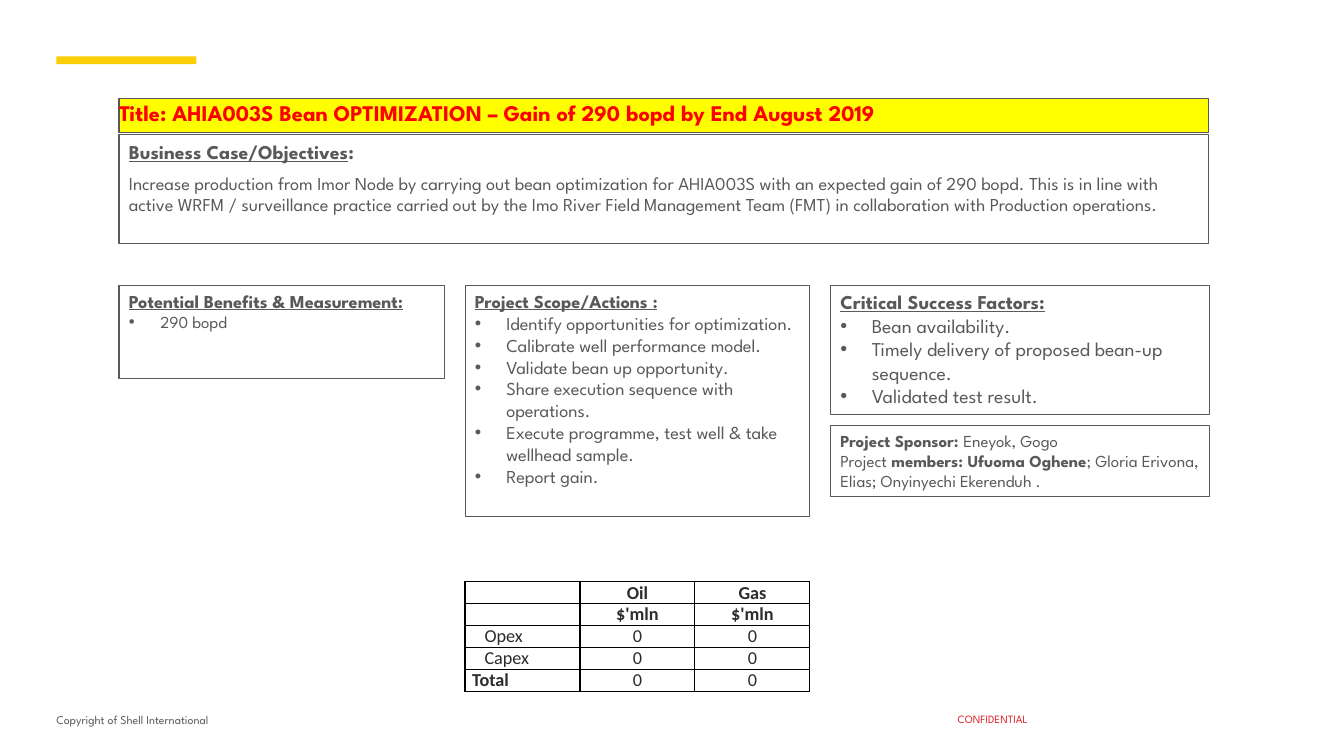
from pptx import Presentation
from pptx.dml.color import RGBColor
from pptx.enum.shapes import MSO_SHAPE as Shape
from pptx.enum.text import MSO_ANCHOR as Anchor, PP_ALIGN as Align
from pptx.oxml.ns import qn
from pptx.util import Cm, Pt
from lxml.etree import SubElement

FONT, TABLE_FONT = "League Spartan", "Calibri"
GREY, RED, YELLOW, WHITE = "595959", "FF0000", "FFFF00", "FFFFFF"
ACCENT, WARNING, TABLE_TEXT, BORDER = "FBCE07", "DD1D21", "2C2C2C", "000000"

TITLE = "Title: AHIA003S Bean OPTIMIZATION – Gain of 290 bopd by End August 2019"
CASE_HEADING = "Business Case/Objectives"
CASE_TEXT = (
    "Increase production from Imor Node by carrying out bean optimization for "
    "AHIA003S with an expected gain of 290 bopd. This is in line with active "
    "WRFM / surveillance practice carried out by the Imo River Field Management "
    "Team (FMT) in collaboration with Production operations."
)
# heading, heading size, bullet size, width, height, bullets
PANELS = [
    ("Potential Benefits & Measurement:", 13, 12, 8.2, 2.36, ["290 bopd"]),
    ("Project Scope/Actions :", 13, 13, 8.69, 5.82, [
        "Identify opportunities for optimization.",
        "Calibrate well performance model.",
        "Validate bean up opportunity.",
        "Share execution sequence with operations.",
        "Execute programme, test well & take wellhead sample.",
        "Report gain.",
    ]),
    ("Critical Success Factors:", 14, 14, 9.55, 3.25, [
        "Bean availability.",
        "Timely delivery of proposed bean-up sequence.",
        "Validated test result.",
    ]),
]
# (text, bold) runs, one list for each paragraph
TEAM = [
    [("Project Sponsor: ", True), ("Eneyok, Gogo", False)],
    [("Project", False), (" members: Ufuoma Oghene", True),
     ("; Gloria Erivona, Elias; Onyinyechi Ekerenduh .", False)],
]
COSTS = [
    ["", "Oil", "Gas"],
    ["", "$'mln", "$'mln"],
    ["Opex", "0", "0"],
    ["Capex", "0", "0"],
    ["Total", "0", "0"],
]
INDENTED = ("Opex", "Capex")

LEFT, FULL_WIDTH, GAP = 3.0, 27.46, 0.52
PANEL_TOP, TEAM_TOP, TABLE_TOP, ROW_HEIGHT = 7.19, 10.72, 14.66, 0.55
FOOTER_TOP = 17.96


def rgb(value):
    return RGBColor.from_string(value)


def add_box(left, top, width, height, fill=None, line=GREY):
    box = page.shapes.add_shape(
        Shape.RECTANGLE, Cm(left), Cm(top), Cm(width), Cm(height))
    box.shadow.inherit = False
    if fill:
        box.fill.solid()
        box.fill.fore_color.rgb = rgb(fill)
    else:
        box.fill.background()
    if line:
        box.line.color.rgb = rgb(line)
        box.line.width = Pt(0.75)
    else:
        box.line.fill.background()
    box.text_frame.word_wrap = True
    box.text_frame.vertical_anchor = Anchor.TOP
    return box


def clear_margins(frame):
    frame.margin_left = frame.margin_right = frame.margin_top = frame.margin_bottom = 0


def next_para(frame, align=Align.LEFT):
    """Return the unused first paragraph, or a new one after it."""
    first = frame.paragraphs[0]
    para = frame.add_paragraph() if first.runs else first
    para.alignment = align
    return para


def add_span(para, text, size, bold=False, underline=False, color=GREY, font=FONT):
    span = para.add_run()
    span.text = text
    span.font.name = font
    span.font.size = Pt(size)
    span.font.bold = bold
    span.font.underline = underline
    span.font.color.rgb = rgb(color)


def add_bullet(frame, text, size):
    para = next_para(frame)
    settings = para._p.get_or_add_pPr()
    settings.set("marL", str(Cm(0.79)))
    settings.set("indent", str(-Cm(0.79)))
    SubElement(settings, qn("a:buFont"), typeface="Arial")
    SubElement(settings, qn("a:buChar"), char="•")
    add_span(para, text, size)


def add_footer(text, left, width, size, color, align, wrap):
    frame = page.shapes.add_textbox(
        Cm(left), Cm(FOOTER_TOP), Cm(width), Cm(0.5)).text_frame
    clear_margins(frame)
    frame.word_wrap = wrap
    add_span(next_para(frame, align), text, size, color=color)


def add_borders(cell):
    settings = cell._tc.get_or_add_tcPr()
    for position, side in enumerate(("a:lnL", "a:lnR", "a:lnT", "a:lnB")):
        line = settings.makeelement(qn(side), {"w": str(Pt(1))})
        settings.insert(position, line)
        SubElement(SubElement(line, qn("a:solidFill")), qn("a:srgbClr"), val=BORDER)


def add_cost_table(left, width):
    rows, columns = len(COSTS), len(COSTS[0])
    table = page.shapes.add_table(
        rows, columns, Cm(left), Cm(TABLE_TOP), Cm(width), Cm(rows * ROW_HEIGHT)).table
    table.first_row = table.horz_banding = False
    for r, texts in enumerate(COSTS):
        for c, text in enumerate(texts):
            cell = table.cell(r, c)
            cell.fill.background()
            add_borders(cell)
            cell.vertical_anchor = Anchor.MIDDLE
            cell.margin_top = cell.margin_bottom = 0
            cell.margin_left = Cm(0.49 if text in INDENTED else 0.18)
            cell.margin_right = Cm(0.18)
            para = next_para(cell.text_frame, Align.CENTER if c else Align.LEFT)
            if text:
                bold = r < 2 or text == "Total"
                add_span(para, text, 13, bold, color=TABLE_TEXT, font=TABLE_FONT)
            else:
                SubElement(para._p, qn("a:endParaRPr"), sz="1300")


deck = Presentation()
deck.slide_width, deck.slide_height = Cm(33.87), Cm(19.05)
page = deck.slides.add_slide(deck.slide_layouts[6])

add_box(1.42, 1.42, 3.53, 0.2, ACCENT, None)
add_footer("Copyright of Shell International", 1.42, 9.32, 8.5, GREY, Align.LEFT, False)
add_footer("CONFIDENTIAL", 23.52, 3, 8, WARNING, Align.CENTER, True)

title = add_box(LEFT, 2.49, FULL_WIDTH, 0.84, YELLOW).text_frame
clear_margins(title)
add_span(next_para(title), TITLE, 16, bold=True, color=RED)

case = add_box(LEFT, 3.4, FULL_WIDTH, 2.74, WHITE).text_frame
heading = next_para(case)
add_span(heading, CASE_HEADING, 14, bold=True, underline=True)
add_span(heading, ":", 14, bold=True)
body = next_para(case)
body.space_before = Pt(6)
add_span(body, CASE_TEXT, 13)

columns = []
left = LEFT
for name, name_size, bullet_size, width, height, bullets in PANELS:
    panel = add_box(left, PANEL_TOP, width, height).text_frame
    add_span(next_para(panel), name, name_size, bold=True, underline=True)
    for bullet in bullets:
        add_bullet(panel, bullet, bullet_size)
    columns.append((left, width))
    left += width + GAP

team_left, team_width = columns[2]
team = add_box(team_left, TEAM_TOP, team_width, 1.8).text_frame
for spans in TEAM:
    para = next_para(team)
    for text, bold in spans:
        add_span(para, text, 12, bold)

add_cost_table(*columns[1])

deck.save("out.pptx")
